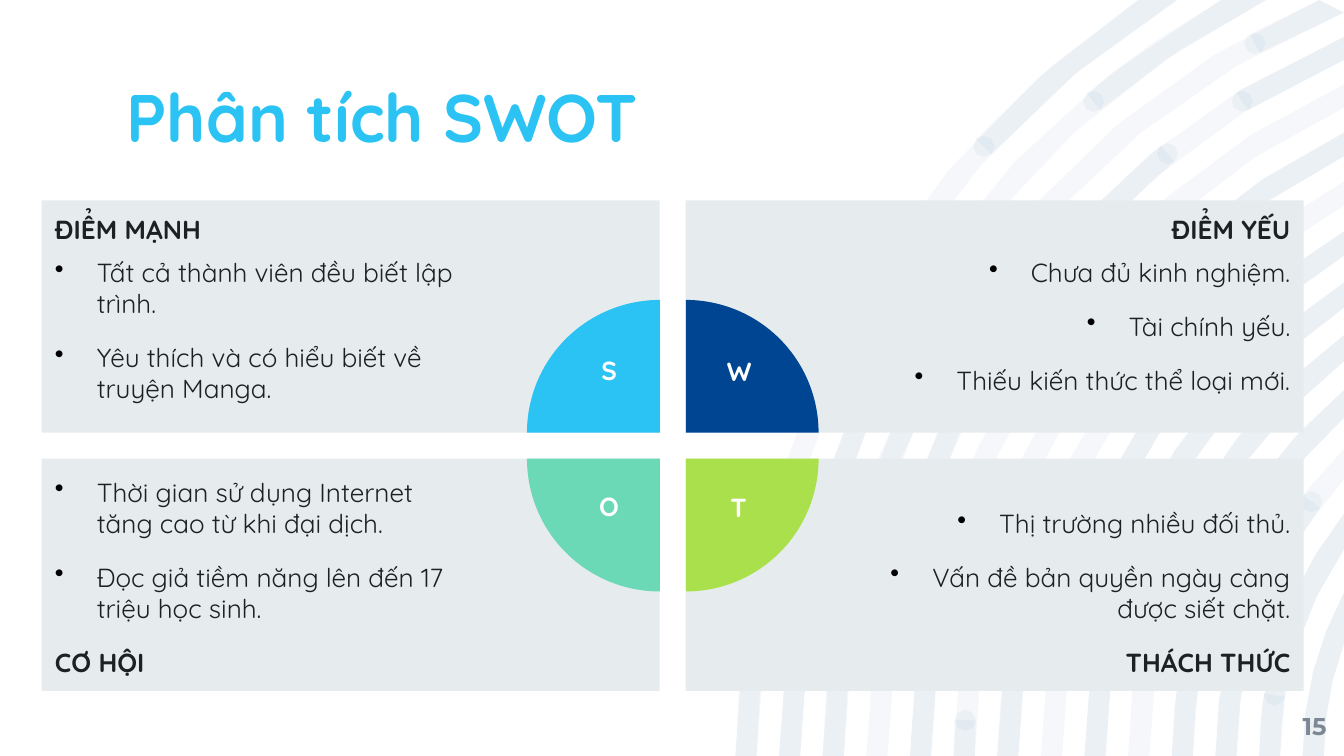
from itertools import product
from math import acos, asin, ceil, cos, pi, radians, sin

from lxml import etree
from pptx import Presentation
from pptx.dml.color import RGBColor
from pptx.enum.shapes import MSO_SHAPE
from pptx.enum.text import MSO_ANCHOR, PP_ALIGN
from pptx.oxml.ns import qn
from pptx.util import Cm, Pt

RECTANGLE, PIE = MSO_SHAPE.RECTANGLE, MSO_SHAPE.PIE
TOP, MIDDLE, BOTTOM = MSO_ANCHOR.TOP, MSO_ANCHOR.MIDDLE, MSO_ANCHOR.BOTTOM
LEFT, CENTER, RIGHT = PP_ALIGN.LEFT, PP_ALIGN.CENTER, PP_ALIGN.RIGHT

WIDTH, HEIGHT = 25.4, 14.29
CENTER_X = 31.12
OUTER_RADIUS, INNER_RADIUS, RING_COUNT = 17.22, 6.5, 14
BAND, DOT_RADIUS, DOT_CORNERS = 0.4, 0.2, 8
RING_STEP = (OUTER_RADIUS - INNER_RADIUS) / (RING_COUNT - 1)
ARC_STEP, EDGE = 9, 90

ACCENTS = [
    (0, 0, 18.5), (0, 42.6, EDGE), (1, 0, 23.9), (1, 49.8, EDGE),
    (2, 0, 6.1), (2, 15, 34.6), (2, 61.2, EDGE), (3, 19.3, 51.5),
    (3, 58.3, EDGE), (4, 0, 22.8), (5, 0, 3), (5, 33.7, EDGE),
    (6, 0, 14.4), (6, 34.4, 52.1), (7, 8.8, EDGE), (8, 0, EDGE),
    (9, 20.2, EDGE), (10, 0, 11.4), (10, 29, EDGE), (11, 0, 37.2),
    (12, 0, 9.3), (12, 17.9, EDGE), (13, 0, EDGE),
]

PANEL_LEFTS, PANEL_TOPS = (0.79, 12.96), (3.79, 8.67)
PANEL_WIDTH, PANEL_HEIGHT = 11.68, 4.39
PIE_SIZE = 5.02

QUADRANTS = [
    ("ĐIỂM MẠNH", ["Tất cả thành viên đều biết lập trình.",
                   "Yêu thích và có hiểu biết về truyện Manga."]),
    ("ĐIỂM YẾU", ["Chưa đủ kinh nghiệm.", "Tài chính yếu.",
                  "Thiếu kiến thức thể loại mới."]),
    ("CƠ HỘI", ["Thời gian sử dụng Internet tăng cao từ khi đại dịch.",
                "Đọc giả tiềm năng lên đến 17 triệu học sinh."]),
    ("THÁCH THỨC", ["Thị trường nhiều đối thủ.",
                    "Vấn đề bản quyền ngày càng được siết chặt."]),
]
SECTORS = [("2AC3F3", 0), ("004591", 90), ("6BD8B6", 270), ("A9E04B", 180)]
LETTERS = [
    ("S", 11.02, 6.58, 0.99), ("W", 13.31, 6.6, 1.32),
    ("O", 10.85, 9.14, 1.32), ("T", 13.44, 9.17, 1.04),
]


def color(code):
    return RGBColor.from_string(code)


def on_ring(radius, angle):
    return CENTER_X - radius * cos(angle), HEIGHT - radius * sin(angle)


def middle_radius(ring):
    return OUTER_RADIUS - ring * RING_STEP - BAND / 2


def arc(radius, start, end):
    limit = min(acos((CENTER_X - WIDTH) / radius), asin(min(1, HEIGHT / radius)))
    first, last = radians(start), min(radians(end), limit)
    steps = max(1, ceil((last - first) / radians(ARC_STEP)))
    return [on_ring(radius, first + (last - first) * i / steps)
            for i in range(steps + 1)]


def band(ring, start, end):
    middle = middle_radius(ring)
    return arc(middle + BAND / 2, start, end) + arc(middle - BAND / 2, start, end)[::-1]


def dot(ring, angle):
    x, y = on_ring(middle_radius(ring), radians(angle))
    turns = [2 * pi * i / DOT_CORNERS for i in range(DOT_CORNERS)]
    return [(x + DOT_RADIUS * cos(t), y + DOT_RADIUS * sin(t)) for t in turns]


class SwotSlide:
    font, size, ink = "Quicksand", 14, "1E2124"

    def __init__(self, presentation):
        self.slide = presentation.slides.add_slide(presentation.slide_layouts[6])

    def paint(self, shape, fill):
        shape.shadow.inherit = False
        shape.fill.solid()
        shape.fill.fore_color.rgb = color(fill)
        shape.line.fill.background()

    def pattern(self, contours, fill, opacity):
        builder = self.slide.shapes.build_freeform(
            *map(Cm, contours[0][0]), scale=1.0)
        for index, contour in enumerate(contours):
            points = [(Cm(x), Cm(y)) for x, y in contour]
            if index:
                builder.move_to(*points[0])
            builder.add_line_segments(points[1:], close=True)
        shape = builder.convert_to_shape()
        self.paint(shape, fill)
        tint = next(shape._element.spPr.iter(qn("a:srgbClr")))
        etree.SubElement(tint, qn("a:alpha"), val=str(opacity * 1000))

    def style(self, paragraph, align, ink=None, size=None, font=None, bold=True):
        paragraph.alignment = align
        for run in paragraph.runs:
            run.font.name = font or self.font
            run.font.size = Pt(size or self.size)
            run.font.bold = bold
            run.font.color.rgb = color(ink or self.ink)

    def frame(self, shape, anchor, left, top, right, bottom):
        frame = shape.text_frame
        frame.word_wrap = True
        frame.vertical_anchor = anchor
        frame.margin_left, frame.margin_top = Cm(left), Cm(top)
        frame.margin_right, frame.margin_bottom = Cm(right), Cm(bottom)
        return frame

    def label(self, text, x, y, width, height, align, anchor=TOP, inset=0, **look):
        box = self.slide.shapes.add_textbox(Cm(x), Cm(y), Cm(width), Cm(height))
        frame = self.frame(box, anchor, inset, inset / 2, inset, inset / 2)
        frame.text = text
        self.style(frame.paragraphs[0], align, **look)
        return frame.paragraphs[0]

    def bullet(self, paragraph):
        properties = paragraph._p.get_or_add_pPr()
        properties.set("marL", str(Cm(0.79)))
        properties.set("indent", str(-Cm(0.79)))
        tint = etree.SubElement(properties, qn("a:buClr"))
        etree.SubElement(tint, qn("a:srgbClr"), val="000000")
        etree.SubElement(properties, qn("a:buChar"), char="•")

    def panel(self, heading, points, x, y, align, anchor):
        shape = self.slide.shapes.add_shape(
            RECTANGLE, Cm(x), Cm(y), Cm(PANEL_WIDTH), Cm(PANEL_HEIGHT))
        self.paint(shape, "E6ECEE")
        left, right = (0.25, 3.81) if align == LEFT else (3.81, 0.25)
        frame = self.frame(shape, anchor, left, 0.25, right, 0.25)
        lines = [heading] + points if anchor == TOP else points + [heading]
        frame.text = "\n".join(lines)
        for index, paragraph in enumerate(frame.paragraphs):
            is_heading = lines[index] == heading
            if not is_heading:
                self.bullet(paragraph)
            if index:
                paragraph.space_before = Pt(6)
            if index or not is_heading:
                paragraph.space_after = Pt(6)
            self.style(paragraph, align, bold=is_heading)

    def sector(self, x, y, fill, rotation):
        shape = self.slide.shapes.add_shape(
            PIE, Cm(x - PIE_SIZE / 2), Cm(y - PIE_SIZE / 2), Cm(PIE_SIZE), Cm(PIE_SIZE))
        shape.adjustments[0], shape.adjustments[1] = 108, 162
        shape.rotation = rotation
        self.paint(shape, fill)


def main():
    presentation = Presentation()
    presentation.slide_width, presentation.slide_height = Cm(WIDTH), Cm(HEIGHT)
    swot = SwotSlide(presentation)

    rings = [band(ring, 0, EDGE) for ring in range(RING_COUNT)]
    accents = [band(*accent) for accent in ACCENTS]
    dots = [dot(ring, angle) for ring, *ends in ACCENTS
            for angle in ends if 0 < angle < EDGE]
    for contours in (rings, accents, dots):
        swot.pattern(contours, "004591", 4)

    swot.label("15", 23.55, 13.18, 1.52, 1.09, RIGHT, MIDDLE,
               ink="7C8894", size=13, font="Montserrat")

    corners = product(PANEL_TOPS, PANEL_LEFTS)
    for (heading, points), (y, x) in zip(QUADRANTS, corners):
        align = LEFT if x == PANEL_LEFTS[0] else RIGHT
        anchor = TOP if y == PANEL_TOPS[0] else BOTTOM
        swot.panel(heading, points, x, y, align, anchor)

    hubs = product((PANEL_TOPS[0] + PANEL_HEIGHT, PANEL_TOPS[1]),
                   (PANEL_LEFTS[0] + PANEL_WIDTH, PANEL_LEFTS[1]))
    for (fill, rotation), (y, x) in zip(SECTORS, hubs):
        swot.sector(x, y, fill, rotation)
    for letter, x, y, width in LETTERS:
        swot.label(letter, x, y, width, 1.22, CENTER, inset=0.25, ink="FFFFFF")

    title = swot.label("Phân tích SWOT", 2.39, 1.19, 20.65, 1.78, LEFT, BOTTOM,
                       ink="2AC3F3", size=36)
    title.line_spacing = 0.9
    presentation.save("out.pptx")


if __name__ == "__main__":
    main()
